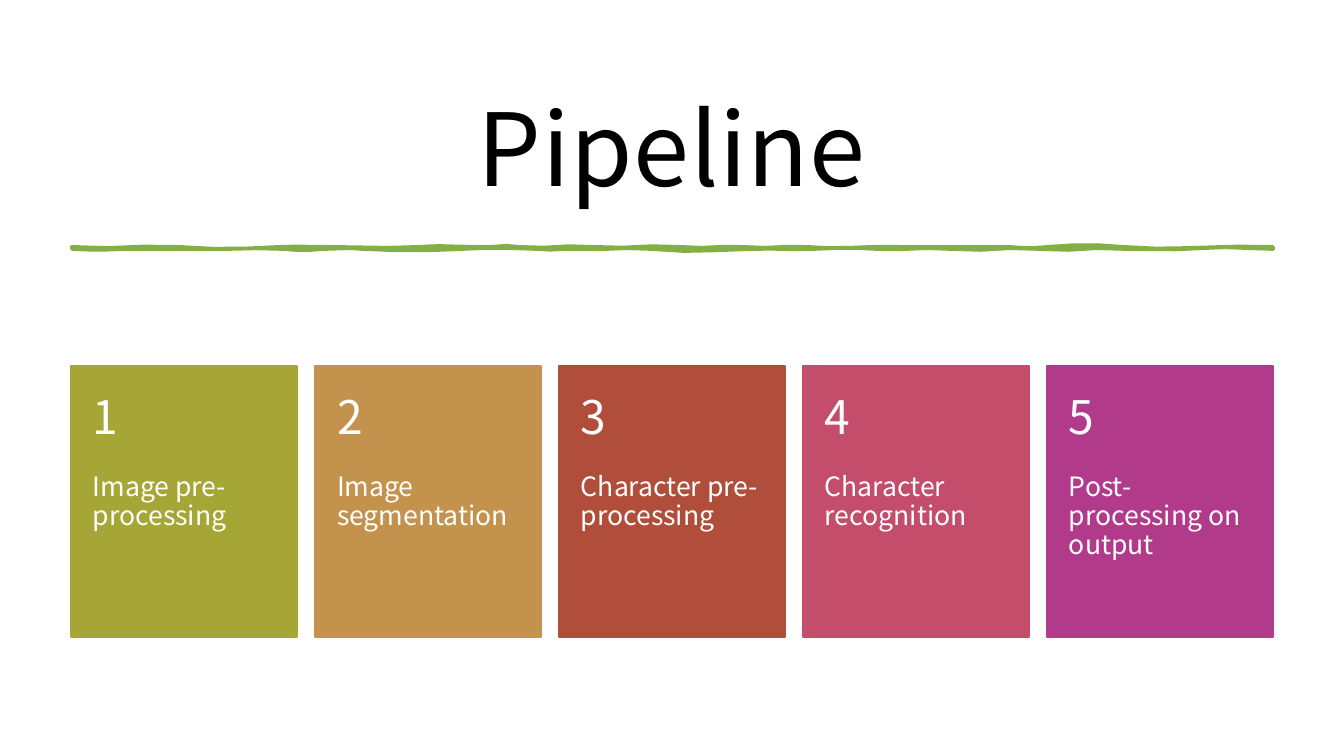
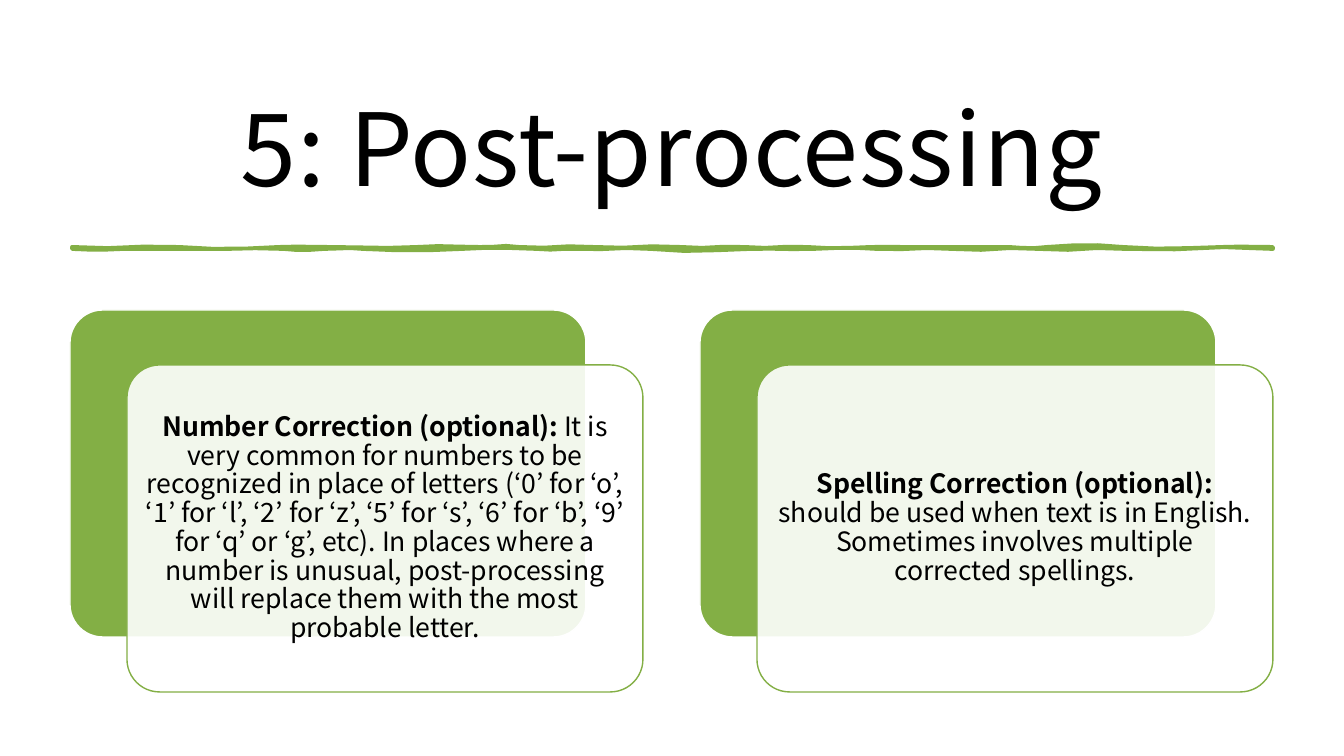
import pptx
import pptx.dml.color
import pptx.enum.shapes
import pptx.enum.text
import pptx.oxml.ns
import pptx.util
from lxml import etree

PX = 914400 / 100.8
PAGE_WIDTH, PAGE_HEIGHT = 1344, 756
FONT = "Noto Sans CJK JP"
COLORS = {
    "white": "FFFFFF",
    "black": "000000",
    "green": "83AF45",
    "olive": "A6A637",
    "ochre": "C3924D",
    "rust": "B14E3B",
    "rose": "C34D6B",
    "purple": "B13B8A",
}
SHAPES = pptx.enum.shapes.MSO_SHAPE
ALIGN = pptx.enum.text.PP_ALIGN
ANCHOR = pptx.enum.text.MSO_ANCHOR

TITLE_BOX = (70, 70, 1204, 145)
RULE_LEFT = 72
# Each bend: its end x, then how far its two handles pull the edge down.
RULE_BOTTOM = (249, [
    (123, 1, 1), (198, 0, 0), (284, 1, -2), (324, 2, 1), (363, 0, -2),
    (462, 2, 2), (537, -2, -1), (577, 2, -1), (651, 2, -3), (750, 4, 1),
    (813, -1, 1), (877, -1, -2), (952, 2, -3), (1039, 4, -4),
    (1126, 4, -4), (1273, 4, -6),
])
RULE_TOP = (247, [
    (1222, 0, -1), (1123, 1, 3), (1047, -3, -2), (1009, 2, 1), (933, 0, 0),
    (871, 1, -1), (807, 1, 2), (744, -2, 3), (681, -2, 3), (594, -3, 3),
    (519, -3, 3), (480, -3, 1), (417, 0, -2), (330, 2, 0), (279, 0, -1),
    (179, 2, 3), (72, -3, 4),
])

STEPS = [
    ("Image pre-processing", "olive"),
    ("Image segmentation", "ochre"),
    ("Character pre-processing", "rust"),
    ("Character recognition", "rose"),
    ("Post-processing on output", "purple"),
]
CORRECTIONS = [
    ("Number Correction (optional): ",
     "It is very common for numbers to be recognized in place of letters "
     "(‘0’ for ‘o’, ‘1’ for ‘l’, ‘2’ for ‘z’, ‘5’ for ‘s’, ‘6’ for ‘b’, "
     "‘9’ for ‘q’ or ‘g’, etc). In places where a number is unusual, "
     "post-processing will replace them with the most probable letter."),
    ("Spelling Correction (optional): ",
     "should be used when text is in English. Sometimes involves multiple "
     "corrected spellings."),
]


def emu(*lengths):
    return [pptx.util.Emu(round(length * PX)) for length in lengths]


def rgb(color):
    return pptx.dml.color.RGBColor.from_string(COLORS[color])


def paint(shape, fill, line=None, line_width=1):
    shape.shadow.inherit = False
    shape.fill.solid()
    shape.fill.fore_color.rgb = rgb(fill)
    if line is None:
        shape.line.fill.background()
    else:
        shape.line.color.rgb = rgb(line)
        shape.line.width = pptx.util.Pt(line_width)


def set_opacity(shape, percent):
    color = shape.fill._xPr.find(".//" + pptx.oxml.ns.qn("a:srgbClr"))
    alpha = etree.SubElement(color, pptx.oxml.ns.qn("a:alpha"))
    alpha.set("val", str(percent * 1000))


def write(shape, spans, size, color, margins, anchor=ANCHOR.MIDDLE,
          align=ALIGN.LEFT, line_spacing=0.9):
    """Fill a shape with one paragraph of (text, bold) spans."""
    frame = shape.text_frame
    frame.word_wrap = True
    frame.auto_size = pptx.enum.text.MSO_AUTO_SIZE.NONE
    frame.vertical_anchor = anchor
    (frame.margin_left, frame.margin_top,
     frame.margin_right, frame.margin_bottom) = emu(*margins)
    para = frame.paragraphs[0]
    para.alignment = align
    para.line_spacing = line_spacing
    para.space_before = pptx.util.Pt(0)
    for text, bold in spans:
        span = para.add_run()
        span.text = text
        span.font.name = FONT
        span.font.size = pptx.util.Pt(size)
        span.font.bold = bold
        span.font.color.rgb = rgb(color)
    return para


def wavy_edge(start, base, bends, samples=3):
    """List the points of an edge that bends around a base height."""
    points = []
    for end, first, second in bends:
        for index in range(1, samples + 1):
            t = index / samples
            pull = 3 * t * (1 - t) * ((1 - t) * first + t * second)
            points.append((10 * (start + t * (end - start)),
                           10 * (base + pull)))
        start = end
    return points


def add_title_rule(page):
    base, bends = RULE_BOTTOM
    right = bends[-1][0]
    outline = wavy_edge(RULE_LEFT, base, bends)
    outline.append((10 * right, 10 * RULE_TOP[0]))
    outline += wavy_edge(right, *RULE_TOP)
    builder = page.shapes.build_freeform(10 * RULE_LEFT, 10 * base, PX / 10)
    builder.add_line_segments(outline, close=True)
    paint(builder.convert_to_shape(), "green", "green", 2.75)


def add_backdrop(page):
    """Cover the page in white, behind everything else."""
    backdrop = page.shapes.add_shape(
        SHAPES.RECTANGLE, *emu(0, 0, PAGE_WIDTH, PAGE_HEIGHT))
    paint(backdrop, "white")
    page.shapes._spTree.insert(2, backdrop._element)


def add_page(deck, heading):
    """Add a titled slide with the hand-drawn rule below its title."""
    page = deck.slides.add_slide(deck.slide_layouts[5])
    add_backdrop(page)
    title = page.shapes.title
    title.left, title.top, title.width, title.height = emu(*TITLE_BOX)
    para = write(title, [(heading, False)], 72, "black", (12, 12, 12, 10),
                 align=ALIGN.CENTER, line_spacing=1.05)
    para.runs[0].font._element.set("spc", "50")
    add_title_rule(page)
    return page


def add_step_card(page, box, number, label, color):
    left, top, width, height = box
    number_height = 108
    card = page.shapes.add_shape(SHAPES.RECTANGLE, *emu(*box))
    paint(card, color, color)
    label_box = page.shapes.add_textbox(
        *emu(left, top + number_height, width, height - number_height))
    write(label_box, [(label, False)], 19, "white", (22, 0, 22, 36),
          anchor=ANCHOR.TOP)
    number_box = page.shapes.add_textbox(
        *emu(left, top, width, number_height))
    write(number_box, [(str(number), False)], 33, "white", (22, 18, 22, 18))


def add_correction(page, box, name, description):
    """Place a green panel with a text panel overlapping its lower right."""
    left, top, width, height = box
    shift_x, shift_y = 57, 55
    front_left, front_top = left + shift_x, top + shift_y
    panel_width, panel_height = width - shift_x, height - shift_y
    for x, y, fill, line in [(left, top, "green", "white"),
                             (front_left, front_top, "white", "green")]:
        panel = page.shapes.add_shape(
            SHAPES.ROUNDED_RECTANGLE, *emu(x, y, panel_width, panel_height))
        panel.adjustments[0] = 0.1
        paint(panel, fill, line)
    set_opacity(panel, 90)
    inset_x, inset_y = 10, 9
    text_box = page.shapes.add_textbox(
        *emu(front_left + inset_x, front_top + inset_y,
             panel_width - 2 * inset_x, panel_height - 2 * inset_y))
    write(text_box, [(name, True), (description, False)], 19, "black",
          (8, 8, 8, 8), align=ALIGN.CENTER)


def build_pipeline(deck):
    page = add_page(deck, "Pipeline")
    left, top, width, height, gap = 71, 366, 226, 271, 18
    for index, (label, color) in enumerate(STEPS):
        box = (left + index * (width + gap), top, width, height)
        add_step_card(page, box, index + 1, label, color)


def build_post_processing(deck):
    page = add_page(deck, "5: Post-processing")
    left, top, width, height, gap = 70, 310, 573, 382, 57
    for index, (name, description) in enumerate(CORRECTIONS):
        box = (left + index * (width + gap), top, width, height)
        add_correction(page, box, name, description)


def main():
    deck = pptx.Presentation()
    deck.slide_width, deck.slide_height = emu(PAGE_WIDTH, PAGE_HEIGHT)
    build_pipeline(deck)
    build_post_processing(deck)
    deck.save("out.pptx")


if __name__ == "__main__":
    main()
